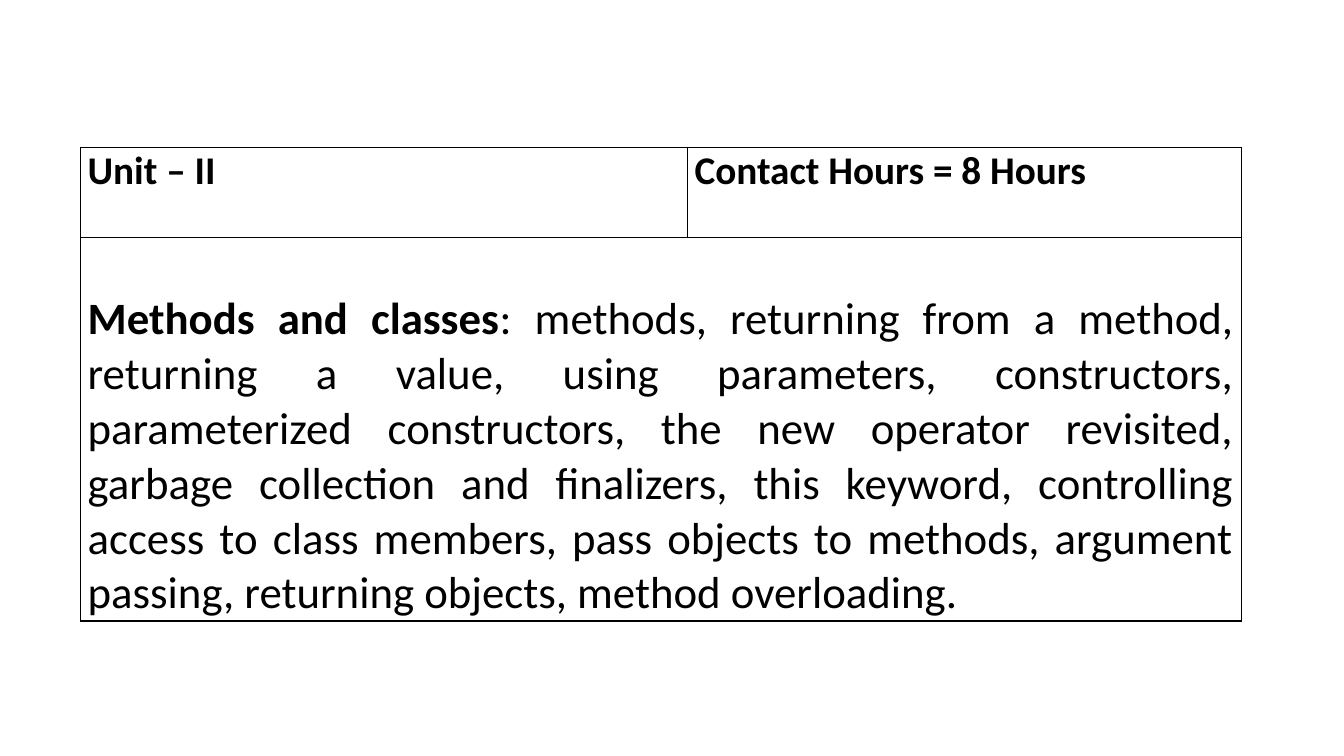
from dataclasses import dataclass

from lxml import etree
from pptx import Presentation
from pptx.dml.color import RGBColor
from pptx.enum.text import PP_ALIGN
from pptx.oxml.ns import qn
from pptx.table import _Cell
from pptx.util import Inches, Pt

BLACK = RGBColor(0x00, 0x00, 0x00)
JUSTIFY = PP_ALIGN.JUSTIFY
FONT = "Calibri"
BLANK_LAYOUT = 6
LEFT, TOP = 0.8, 1.46
COL_WIDTHS = (6.02, 5.49)
ROW_HEIGHTS = (0.9, 3.8)
SIDE_MARGIN = 0.07


@dataclass(frozen=True)
class SyllabusCell:
    row: int
    col: int
    size: int
    heading: str
    topics: str = ""
    top_margin: float = 0


CELLS = (
    SyllabusCell(0, 0, 28, "Unit – II"),
    SyllabusCell(0, 1, 28, "Contact Hours = 8 Hours"),
    SyllabusCell(
        1, 0, 32, "Methods and classes",
        ": methods, returning from a method, returning a value, using parameters, "
        "constructors, parameterized constructors, the new operator revisited, "
        "garbage collection and finalizers, this keyword, controlling access to "
        "class members, pass objects to methods, argument passing, returning "
        "objects, method overloading.",
        top_margin=0.54,
    ),
)


def add_text(p, text: str, *, size: int, bold: bool = False) -> None:
    r = p.add_run()
    r.text = text
    r.font.name = FONT
    r.font.size = Pt(size)
    r.font.bold = bold
    r.font.color.rgb = BLACK


def outline_cell(cell: _Cell, width: float = 1) -> None:
    """Draw all four cell borders; call before setting the fill, which follows them."""
    tc_pr = cell._tc.get_or_add_tcPr()
    for side in ("a:lnL", "a:lnR", "a:lnT", "a:lnB"):
        ln = etree.SubElement(tc_pr, qn(side), w=str(Pt(width)))
        fill = etree.SubElement(ln, qn("a:solidFill"))
        etree.SubElement(fill, qn("a:srgbClr"), val=str(BLACK))


def fill_cell(cell: _Cell, content: SyllabusCell) -> None:
    cell.margin_left = cell.margin_right = Inches(SIDE_MARGIN)
    cell.margin_top = Inches(content.top_margin)
    cell.margin_bottom = 0
    p = cell.text_frame.paragraphs[0]
    p.alignment = JUSTIFY
    add_text(p, content.heading, size=content.size, bold=True)
    if content.topics:
        add_text(p, content.topics, size=content.size)


def add_syllabus_table(s) -> None:
    table = s.shapes.add_table(
        len(ROW_HEIGHTS), len(COL_WIDTHS), Inches(LEFT), Inches(TOP),
        Inches(sum(COL_WIDTHS)), Inches(sum(ROW_HEIGHTS)),
    ).table
    table.first_row = table.horz_banding = False
    for col, width in zip(table.columns, COL_WIDTHS):
        col.width = Inches(width)
    for row, height in zip(table.rows, ROW_HEIGHTS):
        row.height = Inches(height)
    table.cell(1, 0).merge(table.cell(1, 1))
    for cell in table.iter_cells():
        outline_cell(cell)
        cell.fill.background()
    for content in CELLS:
        fill_cell(table.cell(content.row, content.col), content)


def main() -> None:
    prs = Presentation()
    prs.slide_width, prs.slide_height = Inches(13.33), Inches(7.5)
    s = prs.slides.add_slide(prs.slide_layouts[BLANK_LAYOUT])
    add_syllabus_table(s)
    prs.save("out.pptx")


if __name__ == "__main__":
    main()
